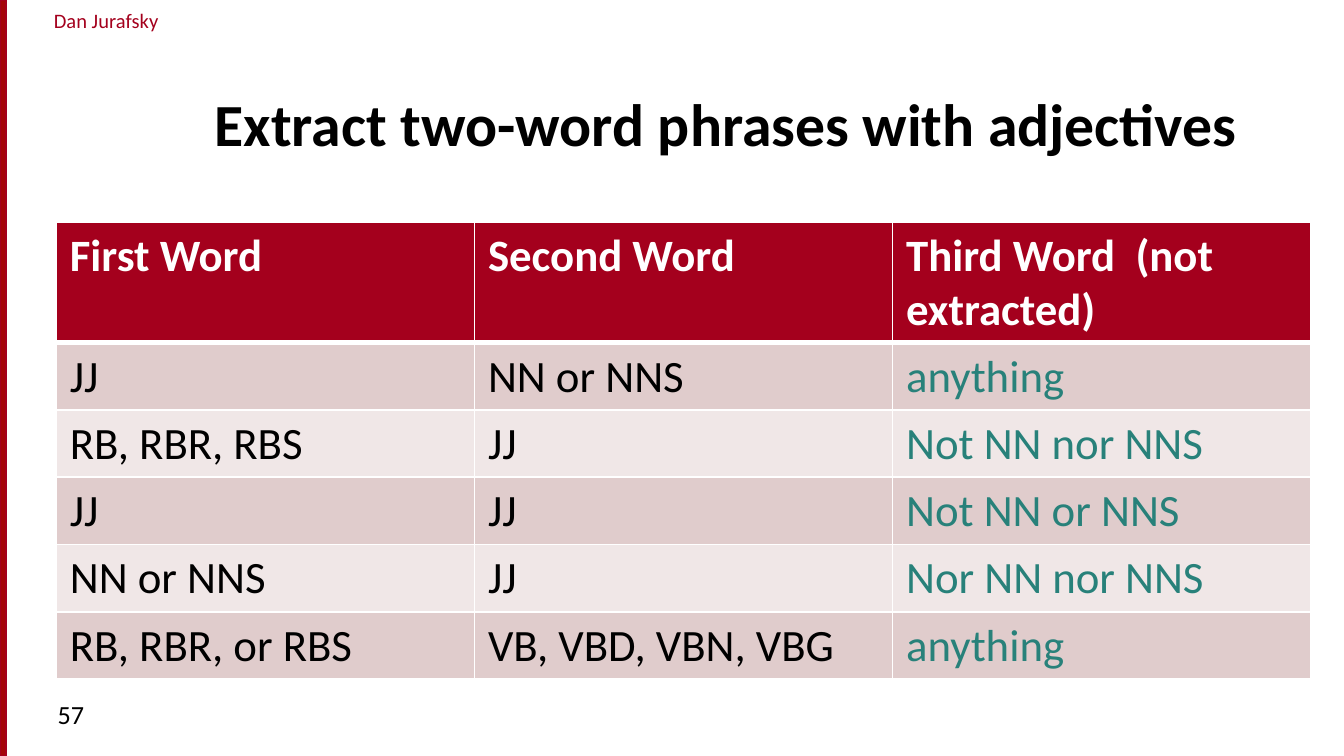
from lxml import etree
from pptx import Presentation
from pptx import util as u
from pptx.dml.color import RGBColor
from pptx.enum import shapes, text
from pptx.oxml import ns

RED = RGBColor(0xA4, 0x00, 0x1D)
EDGE = RGBColor(0xA4, 0x05, 0x08)
TEAL = RGBColor(0x28, 0x81, 0x7A)
ROSE = RGBColor(0xE0, 0xCC, 0xCC)
PALE = RGBColor(0xF0, 0xE7, 0xE7)
BLACK = RGBColor(0, 0, 0)
WHITE = RGBColor(255, 255, 255)

AUTHOR = "Dan Jurafsky"
TITLE = "Extract two-word phrases with adjectives"
PAGE = "57"
ROWS = [
    ("First Word", "Second Word", "Third Word  (not extracted)"),
    ("JJ", "NN or NNS", "anything"),
    ("RB, RBR, RBS", "JJ", "Not NN nor NNS"),
    ("JJ", "JJ", "Not NN or NNS"),
    ("NN or NNS", "JJ", "Nor NN nor NNS"),
    ("RB, RBR, or RBS", "VB, VBD, VBN, VBG", "anything"),
]
HEAD, BODY, COL = 55.44, 31.2, 224
THIN, THICK = 0.96, 3


def write(frame, words, size=24, color=BLACK, bold=False, align=None):
    para = frame.paragraphs[0]
    para.alignment = align
    run = para.add_run()
    run.text = words
    font = run.font
    font.name, font.size, font.bold = "Calibri", u.Pt(size), bold
    font.color.rgb = color


def label(box, words, anchor=text.MSO_ANCHOR.TOP, inset=None, **style):
    """Add a text box; inset replaces the left and right margins."""
    frame = slide.shapes.add_textbox(*map(u.Pt, box)).text_frame
    frame.word_wrap = True
    frame.vertical_anchor = anchor
    if inset is not None:
        frame.margin_left = frame.margin_right = u.Pt(inset)
    write(frame, words, **style)


def border(cell, top, bottom):
    props = cell._tc.get_or_add_tcPr()
    for side, width in (("L", THIN), ("R", THIN), ("T", top), ("B", bottom)):
        line = etree.SubElement(props, ns.qn("a:ln" + side), w=str(u.Pt(width)))
        fill = etree.SubElement(line, ns.qn("a:solidFill"))
        etree.SubElement(fill, ns.qn("a:srgbClr"), val=str(WHITE))


deck = Presentation()
deck.slide_width, deck.slide_height = u.Pt(720), u.Pt(405)
slide = deck.slides.add_slide(deck.slide_layouts[6])

label((5.76, 0.72, 102.24, 20.16), AUTHOR, inset=0, size=11, color=RED,
      align=text.PP_ALIGN.CENTER)

bar = slide.shapes.add_shape(shapes.MSO_SHAPE.RECTANGLE, 0, 0, u.Pt(3.25), u.Pt(405))
bar.shadow.inherit = False
bar.fill.solid()
bar.fill.fore_color.rgb = EDGE
bar.line.color.rgb = RED
bar.line.width = u.Pt(0.75)

label((108, 30.24, 588.24, 58.32), TITLE, anchor=text.MSO_ANCHOR.BOTTOM,
      size=32, bold=True)

high = HEAD + BODY * (len(ROWS) - 1)
grid = slide.shapes.add_table(len(ROWS), 3, u.Pt(30.24), u.Pt(118.8),
                              u.Pt(3 * COL), u.Pt(high)).table
for col in grid.columns:
    col.width = u.Pt(COL)
for r, row in enumerate(ROWS):
    top = r == 0
    grid.rows[r].height = u.Pt(HEAD if top else BODY)
    for c, words in enumerate(row):
        cell = grid.cell(r, c)
        border(cell, THICK if r == 1 else THIN, THICK if top else THIN)
        cell.fill.solid()
        cell.fill.fore_color.rgb = RED if top else ROSE if r % 2 else PALE
        color = WHITE if top else TEAL if c == 2 else BLACK
        write(cell.text_frame, words, color=color, bold=top)

label((23.76, 370.8, 156.24, 26.64), PAGE, size=14)

deck.save("out.pptx")
